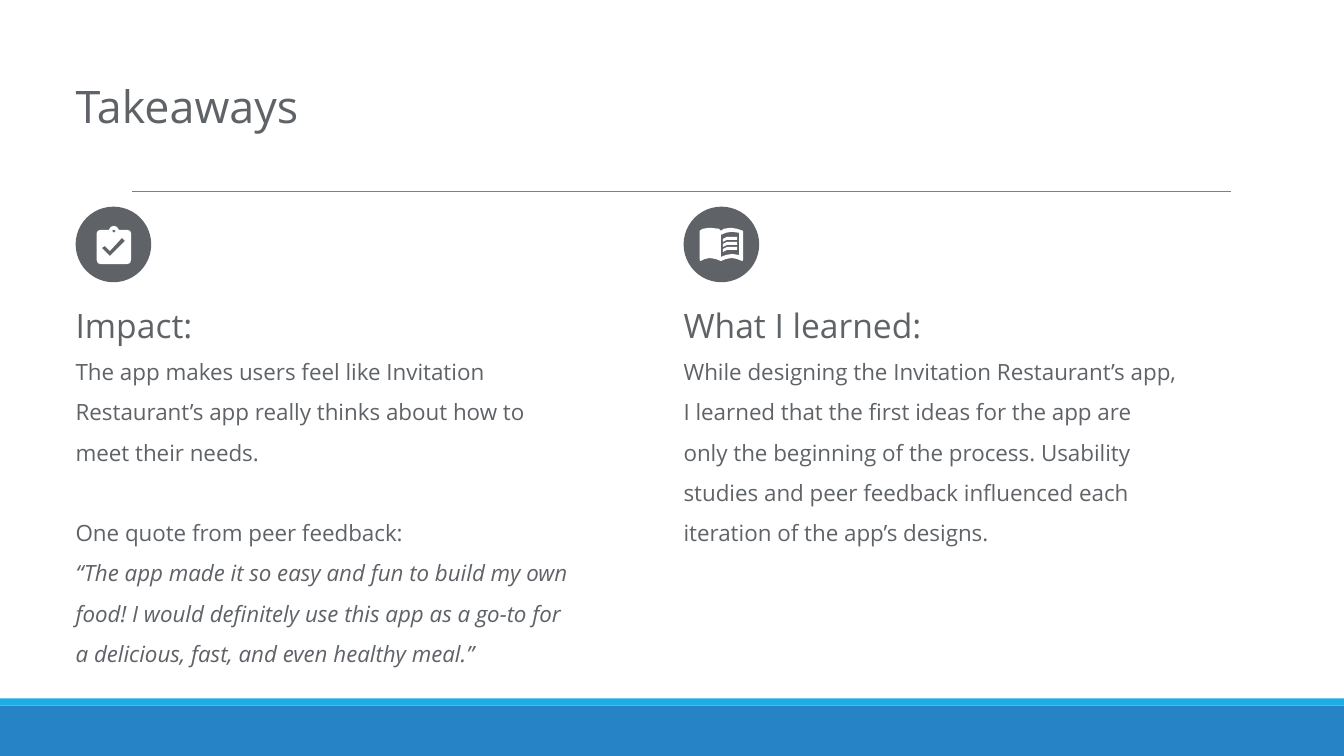
"""Build the Takeaways slide: a title, two icon-topped columns and a blue footer."""
from pptx import Presentation
from pptx.dml.color import RGBColor
from pptx.enum.shapes import MSO_CONNECTOR, MSO_SHAPE
from pptx.enum.text import MSO_ANCHOR, MSO_AUTO_SIZE, PP_ALIGN
from pptx.oxml.ns import qn
from pptx.util import Pt
from lxml.etree import SubElement

PX = 9144
FONT = "Open Sans"
GREY = RGBColor(0x5F, 0x63, 0x68)
RULE = RGBColor(0x80, 0x80, 0x80)
BLUE = RGBColor(0x26, 0x83, 0xC6)
CYAN = RGBColor(0x1C, 0xAD, 0xE4)
WHITE = RGBColor(0xFF, 0xFF, 0xFF)

FRAME = {
    "margin_left": 0, "margin_top": 13 * PX, "margin_right": 13 * PX,
    "margin_bottom": 13 * PX, "word_wrap": True,
    "auto_size": MSO_AUTO_SIZE.NONE, "vertical_anchor": MSO_ANCHOR.TOP,
}


def paint(shape, color):
    """Give a shape a plain fill with no outline or shadow."""
    shape.fill.solid()
    shape.fill.fore_color.rgb = color
    shape.line.fill.background()
    shape.shadow.inherit = False


def write(holder, box, lines):
    """Place a text holder and fill it with (text, size, italic, gap, spacing) lines."""
    holder.left, holder.top, holder.width, holder.height = [n * PX for n in box]
    frame = holder.text_frame
    for key, value in FRAME.items():
        setattr(frame, key, value)
    for i, (text, size, slant, gap, space) in enumerate(lines):
        para = frame.add_paragraph() if i else frame.paragraphs[0]
        form = {"alignment": PP_ALIGN.LEFT, "line_spacing": space,
                "space_before": Pt(gap), "space_after": Pt(0)}
        for key, value in form.items():
            setattr(para, key, value)
        props = para._p.get_or_add_pPr()
        props.set("marL", "0")
        props.set("indent", "0")
        SubElement(props, qn("a:buNone"))
        run = para.add_run()
        run.text = text
        for key, value in {"name": FONT, "size": Pt(size), "italic": slant}.items():
            setattr(run.font, key, value)
        run.font.color.rgb = GREY


deck = Presentation()
deck.slide_width, deck.slide_height = 1333 * PX, 750 * PX
slide = deck.slides.add_slide(deck.slide_layouts[3])
shapes = slide.shapes
title, left, right = slide.placeholders

for top, height, color in [(700, 50, BLUE), (693, 7, CYAN)]:
    bar = shapes.add_shape(MSO_SHAPE.RECTANGLE, 0, top * PX, 1333 * PX, height * PX)
    paint(bar, color)

rule = shapes.add_connector(MSO_CONNECTOR.STRAIGHT, 131 * PX, 190 * PX, 1221 * PX, 190 * PX)
rule.line.color.rgb = RULE
rule.line.width = Pt(0.5)
SubElement(rule.element.spPr, qn("a:effectLst"))

write(title, (75, 65, 719, 81), [("Takeaways", 32, False, 0, 1.0)])
write(left, (75, 269, 502, 451), [
    ("Impact:", 24, False, 0, 1.5),
    ("The app makes users feel like Invitation Restaurant’s app really thinks "
     "about how to meet their needs.", 16, False, 0, 1.5),
    ("One quote from peer feedback:", 16, False, 28.8, 1.5),
    ("“The app made it so easy and fun to build my own food! I would definitely "
     "use this app as a go-to for a delicious, fast, and even healthy meal.”",
     16, True, 0, 1.5),
])
write(right, (678, 269, 502, 289), [
    ("What I learned:", 24, False, 0, 1.5),
    ("While designing the Invitation Restaurant’s app, I learned that the first "
     "ideas for the app are only the beginning of the process. Usability studies "
     "and peer feedback influenced each iteration of the app’s designs.",
     16, False, 0, 1.5),
])

for x in (75, 678):
    disc = shapes.add_shape(MSO_SHAPE.OVAL, x * PX, 205 * PX, 75 * PX, 75 * PX)
    paint(disc, GREY)

board = [
    [(126, 228), (118, 228), (116, 225), (113, 224), (110, 225), (108, 228),
     (100, 228), (97, 229), (96, 231), (96, 258), (97, 261), (100, 262),
     (126, 262), (129, 261), (130, 258), (130, 231), (129, 229)],
    [(113, 228), (115, 229), (113, 231), (111, 229)],
    [(109, 254), (101, 246), (104, 244), (109, 249), (121, 236), (124, 239)],
]
book = [
    [(704, 226), (713, 227), (715, 229), (718, 227), (725, 226), (731, 227),
     (737, 229), (737, 258), (736, 259), (731, 257), (726, 256), (720, 257),
     (715, 259), (710, 257), (704, 256), (699, 257), (695, 259), (694, 258),
     (694, 229), (697, 227)],
    [(726, 230), (733, 231), (733, 253), (726, 252), (720, 253), (715, 255),
     (715, 233), (720, 231)],
]
texts = [
    [(x, y + step) for x, y in [
        (717, 237), (721, 235), (725, 235), (731, 235),
        (731, 238), (725, 238), (721, 238), (717, 240)]]
    for step in (0, 5, 10)
]
for icon in [board, book] + [[text] for text in texts]:
    pen = shapes.build_freeform(*icon[0][0], scale=PX)
    for loop in icon:
        pen.move_to(*loop[0])
        pen.add_line_segments(loop[1:], close=True)
    paint(pen.convert_to_shape(), WHITE)

deck.save("out.pptx")
